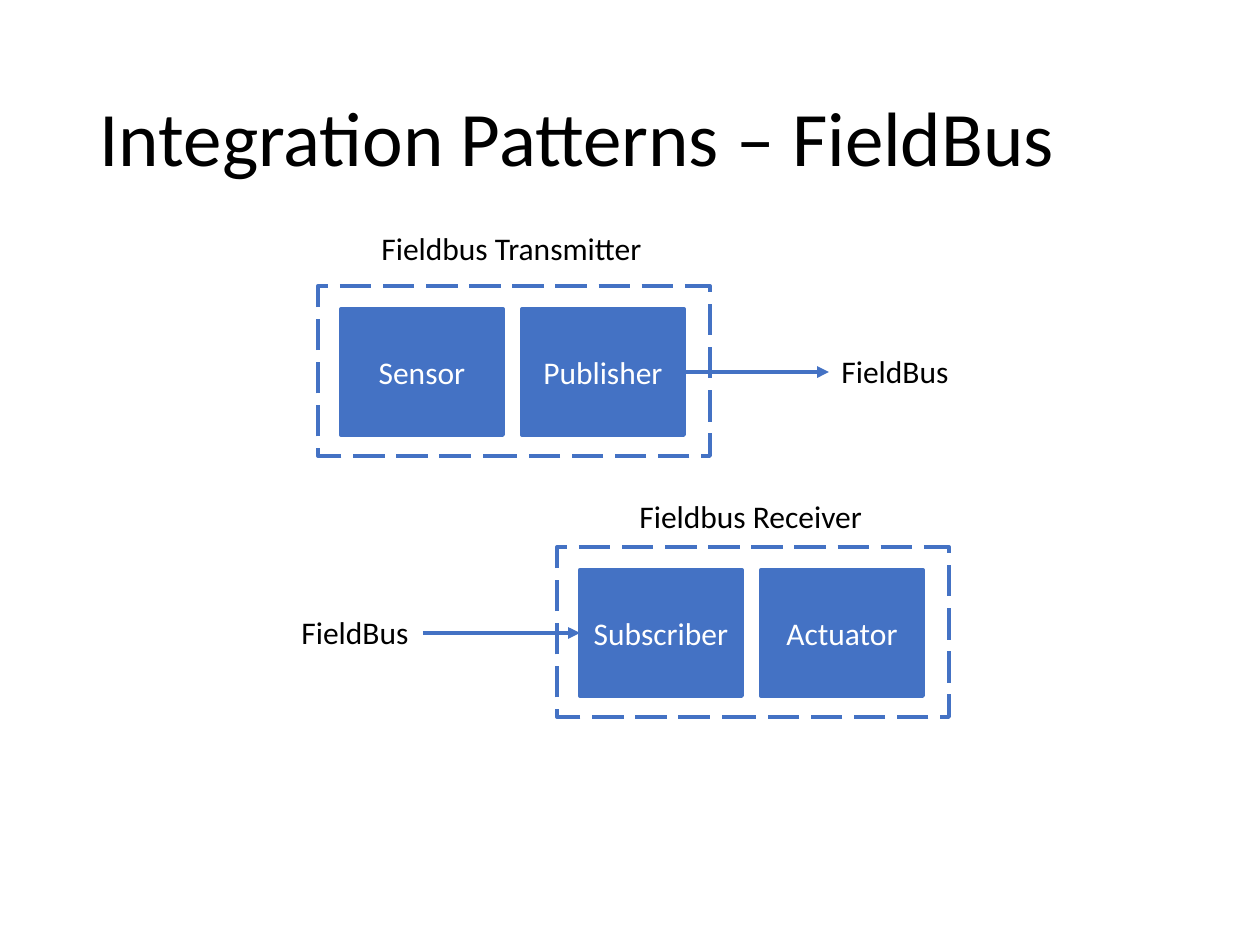
"""Builds the FieldBus integration patterns slide."""
from lxml import etree
from pptx import Presentation
from pptx import util as u
from pptx.dml.color import RGBColor
from pptx.enum import dml, shapes, text
from pptx.oxml.ns import qn

EMU_PER_PX = 914400 / 126
BLUE = RGBColor(0x44, 0x72, 0xC4)
BLACK = RGBColor(0, 0, 0)
WHITE = RGBColor(255, 255, 255)
LINE_WIDTH = u.Pt(2.25)
TOP, LEFT, BOTTOM, RIGHT = range(4)
BOX_WIDTH, BOX_HEIGHT, BOX_STEP, INSET = 162, 126, 181, 23
FRAME_WIDTH, FRAME_HEIGHT = 392, 170
LABEL_HEIGHT = 52


def px(*lengths):
    """Turn px lengths into EMU."""
    return [u.Emu(round(length * EMU_PER_PX)) for length in lengths]


def set_values(target, values):
    """Set attributes from a dict."""
    for name, value in values.items():
        setattr(target, name, value)


def write(box, words, size, color, align, frame_values):
    """Write one formatted paragraph."""
    set_values(box.text_frame, frame_values)
    para = box.text_frame.paragraphs[0]
    para.alignment = align
    span = para.add_run()
    span.text = words
    set_values(span.font, {"name": "Calibri", "size": u.Pt(size)})
    span.font.color.rgb = color
    return para


def style_line(line):
    """Give a line the blue stroke."""
    line.color.rgb = BLUE
    line.width = LINE_WIDTH


def add_title(page, words):
    """Place and fill the title."""
    title = page.shapes.title
    left, top, width, height = px(87, 50, 1086, 183)
    set_values(title, {"left": left, "top": top, "width": width, "height": height})
    para = write(title, words, 44, BLACK, text.PP_ALIGN.LEFT,
                 {"vertical_anchor": text.MSO_ANCHOR.MIDDLE, "word_wrap": True})
    para.line_spacing = 0.9


def add_rectangle(page, left, top, width, height):
    """Add a blue-lined rectangle."""
    box = page.shapes.add_shape(
        shapes.MSO_SHAPE.RECTANGLE, *px(left, top, width, height))
    box.shadow.inherit = False
    style_line(box.line)
    return box


def add_block(page, words, left, top):
    """Add a filled block with centred text."""
    box = add_rectangle(page, left, top, BOX_WIDTH, BOX_HEIGHT)
    box.fill.solid()
    box.fill.fore_color.rgb = BLUE
    write(box, words, 18, WHITE, text.PP_ALIGN.CENTER,
          {"vertical_anchor": text.MSO_ANCHOR.MIDDLE, "word_wrap": True})
    return box


def add_device(page, left, top, names):
    """Add a dashed frame around a row of blocks."""
    blocks = [add_block(page, name, left + INSET + i * BOX_STEP, top + INSET)
              for i, name in enumerate(names)]
    frame = add_rectangle(page, left, top, FRAME_WIDTH, FRAME_HEIGHT)
    frame.fill.background()
    frame.line.dash_style = dml.MSO_LINE.LONG_DASH
    return blocks


def add_label(page, words, left, top, width):
    """Add a plain one-line label."""
    box = page.shapes.add_textbox(*px(left, top, width, LABEL_HEIGHT))
    write(box, words, 18, BLACK, text.PP_ALIGN.LEFT,
          {"word_wrap": False, "auto_size": text.MSO_AUTO_SIZE.SHAPE_TO_FIT_TEXT})
    return box


def add_arrow(page, source, target):
    """Join two shapes, left to right, by an arrow."""
    arrow = page.shapes.add_connector(shapes.MSO_CONNECTOR.STRAIGHT, 0, 0, 0, 0)
    arrow.begin_connect(source, RIGHT)
    arrow.end_connect(target, LEFT)
    style_line(arrow.line)
    stroke = arrow.line._get_or_add_ln()
    etree.SubElement(stroke, qn("a:tailEnd"), type="triangle")
    etree.SubElement(arrow._element.spPr, qn("a:effectLst"))


def main():
    """Build and save the slide."""
    deck = Presentation()
    deck.slide_width, deck.slide_height = px(1260, 945)
    page = deck.slides.add_slide(deck.slide_layouts[5])
    add_title(page, "Integration Patterns – FieldBus")
    _, publisher = add_device(page, 318, 286, ["Sensor", "Publisher"])
    subscriber, _ = add_device(page, 557, 547, ["Subscriber", "Actuator"])
    add_label(page, "Fieldbus Transmitter", 369, 223, 289)
    add_label(page, "Fieldbus Receiver", 627, 491, 251)
    bus_out = add_label(page, "FieldBus", 829, 346, 134)
    bus_in = add_label(page, "FieldBus", 289, 607, 134)
    add_arrow(page, publisher, bus_out)
    add_arrow(page, bus_in, subscriber)
    deck.save("out.pptx")


if __name__ == "__main__":
    main()
